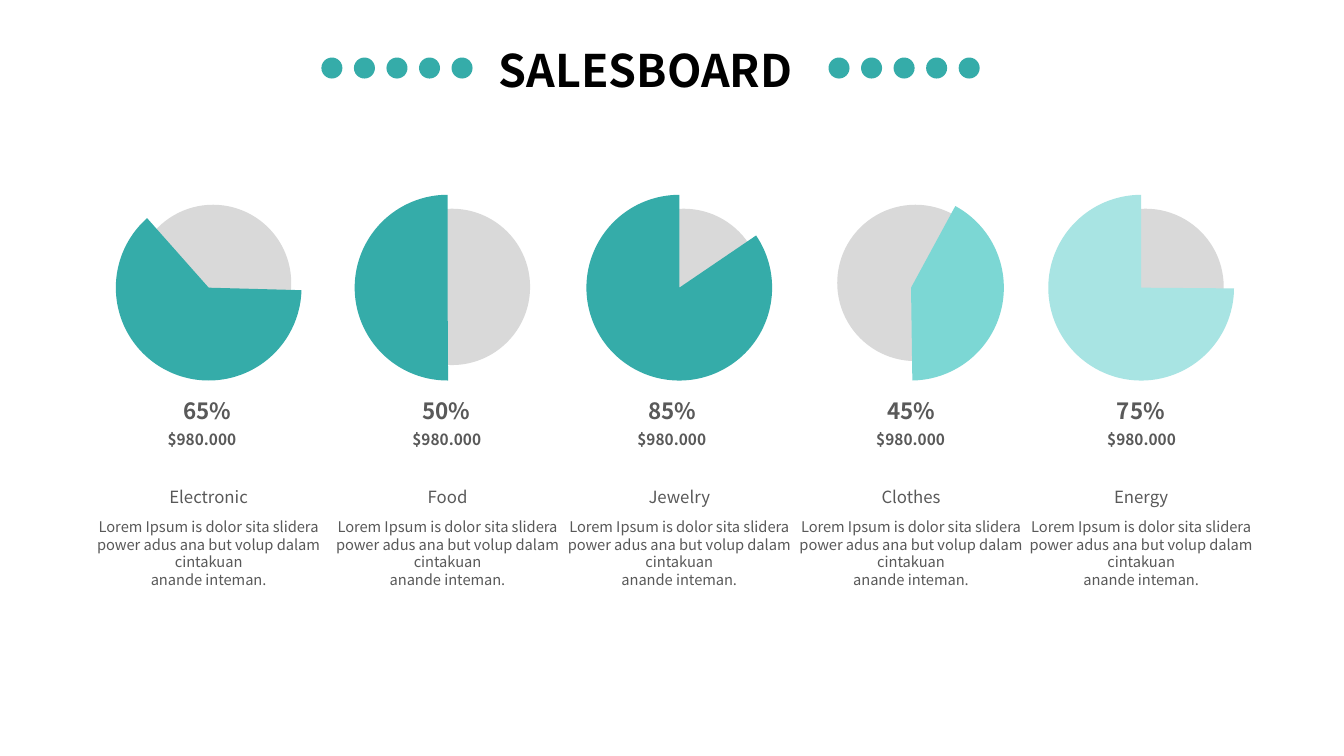
"""Build a slide of five category pies with share, amount and description."""
from dataclasses import dataclass

from pptx import Presentation
from pptx.dml.color import RGBColor as RGB
from pptx.enum.shapes import MSO_SHAPE as SHAPE
from pptx.enum.text import MSO_AUTO_SIZE as AUTO, PP_ALIGN as ALIGN
from pptx.util import Cm, Pt


@dataclass
class Theme:
    font: str = "Noto Sans CJK JP"
    teal: str = "35ACA9"
    aqua: str = "7CD7D4"
    pale: str = "A8E4E3"
    disc: str = "D9D9D9"
    ink: str = "595959"
    black: str = "000000"
    title: float = 32
    share: float = 16
    category: float = 12
    amount: float = 11
    body: float = 10.5


theme = Theme()

prs = Presentation()
prs.slide_width, prs.slide_height = Cm(33.87), Cm(19.05)
s = prs.slides.add_slide(prs.slide_layouts[6])


def add_round(kind, x, y, size, color):
    sp = s.shapes.add_shape(kind, Cm(x), Cm(y), Cm(size), Cm(size))
    sp.shadow.inherit = False
    sp.fill.solid()
    sp.fill.fore_color.rgb = RGB.from_string(color)
    sp.line.fill.background()
    return sp


def add_text(text, center, y, w, h, size, color=theme.ink, bold=False,
             wrap=False, align=ALIGN.CENTER, spacing=None):
    tf = s.shapes.add_textbox(Cm(center - w / 2), Cm(y), Cm(w), Cm(h)).text_frame
    tf.word_wrap = wrap
    tf.auto_size = AUTO.SHAPE_TO_FIT_TEXT
    tf.text = text
    for p in tf.paragraphs:
        p.alignment = align
        p.line_spacing = spacing
        for r in p.runs:
            r.font.name = theme.font
            r.font.size = Pt(size)
            r.font.bold = bold
            r.font.color.rgb = RGB.from_string(color)


PIE, DISC, PIE_TOP = 4.68, 3.94, 4.91
DESCRIPTION = ("Lorem Ipsum is dolor sita slidera power adus ana but volup dalam cintakuan\n"
               "anande inteman.")

# name, name width, share, centers of pie, share and amount, disc top, angles, color
columns = [
    ("Electronic", 2.51, "65%", 5.26, 5.23, 5.09, 5.16, 1.56, 228.44, theme.teal),
    ("Food", 1.55, "50%", 11.28, 11.25, 11.26, 5.26, 89.66, 270, theme.teal),
    ("Jewelry", 2.08, "85%", 17.12, 16.94, 16.93, 5.26, 325.81, 270, theme.teal),
    ("Clothes", 2.01, "45%", 22.96, 22.96, 22.95, 5.16, 298.5, 89.19, theme.aqua),
    ("Energy", 1.93, "75%", 28.76, 28.75, 28.77, 5.26, 0.45, 270, theme.pale),
]

for name, name_w, share, cx, share_cx, amount_cx, disc_top, start, end, color in columns:
    pie_left = cx - PIE / 2
    add_round(SHAPE.OVAL, pie_left + 0.48, disc_top, DISC, theme.disc)
    pie = add_round(SHAPE.PIE, pie_left, PIE_TOP, PIE, color)
    for i, angle in enumerate((start, end)):
        pie.adjustments[i] = angle * 0.6

    add_text(name, cx, 12.14, name_w, 0.76, theme.category)
    add_text(DESCRIPTION, cx, 12.93, 6.6, 2.06, theme.body, wrap=True)
    add_text(share, share_cx, 10.06, 1.98, 0.74, theme.share,
             bold=True, wrap=True, spacing=0.7)
    add_text("$980.000", amount_cx, 10.72, 2.57, 0.74, theme.amount, bold=True)

add_text("SALESBOARD", 16.47, 0.94, 8.31, 1.63, theme.title, theme.black,
         bold=True, align=ALIGN.LEFT)
for row_left in (8.1, 20.88):
    for i in range(5):
        add_round(SHAPE.OVAL, row_left + i * 0.82, 1.45, 0.53, theme.teal)

prs.save("out.pptx")
